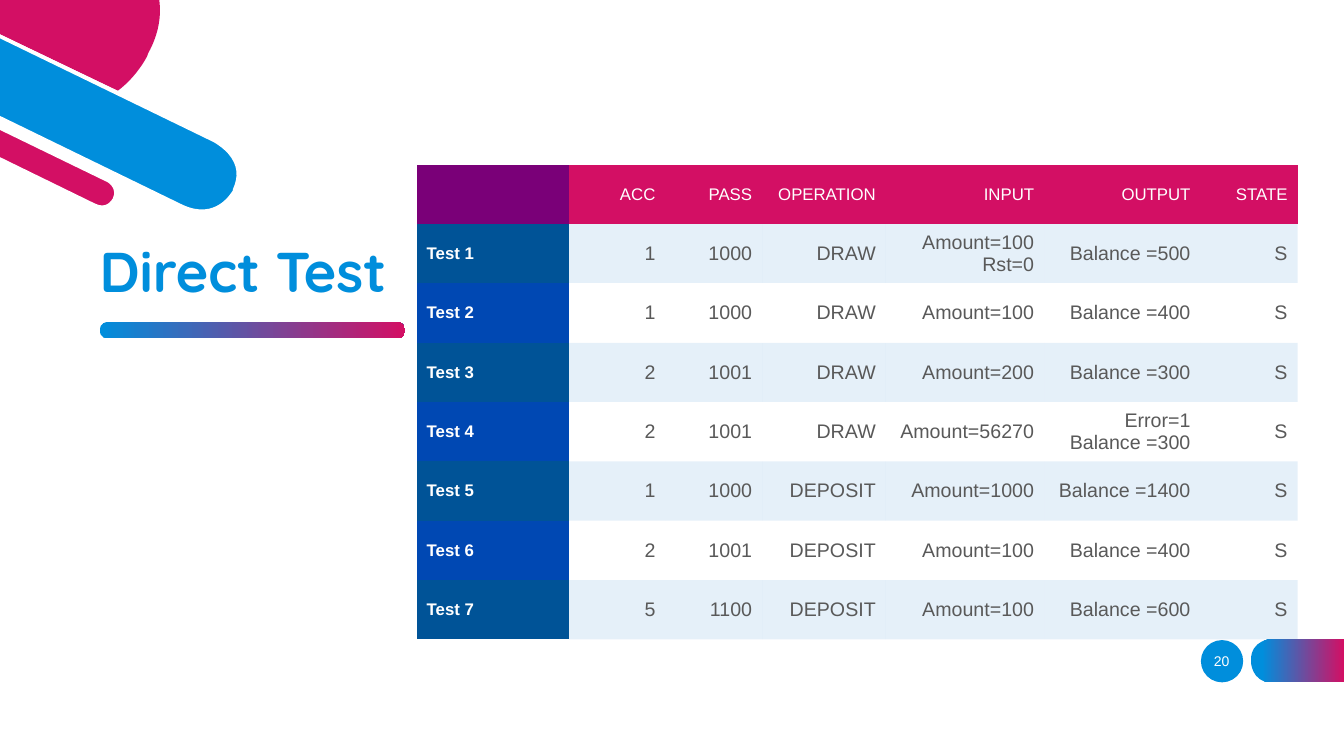
import dataclasses

import lxml.etree
import pptx
import pptx.dml.color
import pptx.enum.shapes
import pptx.enum.text
import pptx.oxml.ns
import pptx.util

Pt = pptx.util.Pt
qn = pptx.oxml.ns.qn
ALIGN = pptx.enum.text.PP_ALIGN
ANCHOR = pptx.enum.text.MSO_ANCHOR
SHAPE = pptx.enum.shapes.MSO_SHAPE


@dataclasses.dataclass(frozen=True)
class Theme:
    """Colours, fonts and type sizes of the slide."""
    blue: str = "008EDC"
    crimson: str = "D30F64"
    white: str = "FFFFFF"
    purple: str = "7A0078"
    label_fills: tuple = ("005397", "0048B3")
    tint: str = "006FC9"
    tint_alpha: int = 10
    grey: str = "595959"
    title_font: str = "Quicksand"
    body_font: str = "Arial"
    title_size: int = 40
    value_size: int = 14
    label_size: int = 12
    number_size: int = 10


THEME = Theme()
NO_GRID_STYLE = "{2D5ABB26-0587-4C30-8999-92F81FD0307C}"
COLUMN_WIDTHS = (108.7, 69.1, 69.1, 88.4, 113.1, 111.7, 69.3)
HEADINGS = ("", "ACC", "PASS", "OPERATION", "INPUT", "OUTPUT", "STATE")
TESTS = (
    ("1", "1000", "DRAW", "Amount=100\nRst=0", "Balance =500", "S"),
    ("1", "1000", "DRAW", "Amount=100", "Balance =400", "S"),
    ("2", "1001", "DRAW", "Amount=200", "Balance =300", "S"),
    ("2", "1001", "DRAW", "Amount=56270", "Error=1\nBalance =300", "S"),
    ("1", "1000", "DEPOSIT", "Amount=1000", "Balance =1400", "S"),
    ("2", "1001", "DEPOSIT", "Amount=100", "Balance =400", "S"),
    ("5", "1100", "DEPOSIT", "Amount=100", "Balance =600", "S"),
)

DISC_RIM = (
    (0.7, 58.3), (20.2, 67.7), (43.2, 79.2, 64.1, 77.8, 82.8, 64.1),
    (96.5, 53.3, 103.7, 39.6, 103.7, 39.6), (105.1, 37.4),
    (111.6, 24.5, 113.8, 11.5, 112.3, 0), (115.2, 0),
    (116.6, 12.2, 114.5, 25.2, 107.3, 38.9), (106.6, 41),
    (105.8, 41.8, 98.6, 55.4, 84.2, 66.2), (76.3, 72.7, 64.8, 78.5, 49.7, 78.5),
    (40.3, 78.5, 30.2, 76.3, 18.7, 70.6), (0.7, 61.9))
BAND = (
    (152.6, 100.1), (152.6, 100.1, 179.3, 113, 167.8, 136.1), (167, 136.8),
    (167, 136.8, 155.5, 159.8, 129.6, 146.9), (0, 84.2), (0, 25.9))
DISC = (
    (105.1, 40.3), (105.1, 40.3, 97.9, 54.7, 84.2, 64.8), (0, 24.5), (0, 0),
    (113.8, 0), (115.2, 10.8, 113.8, 23.8, 105.8, 38.2))
STRIPE = (
    (0, 90.7), (76.3, 128.2), (76.3, 128.2, 86.4, 133.2, 82.1, 141.8),
    (82.1, 142.6), (82.1, 142.6, 77, 151.9, 67, 146.9), (0, 113.8))
STRIPE_RIM = (
    (67.7, 145.4), (76.3, 149.8, 79.9, 142.6, 80.6, 141.8),
    (84.2, 133.9, 76.3, 129.6, 75.6, 129.6), (0, 92.9), (0, 89.3), (77, 126.7),
    (77, 126.7, 82.8, 129.6, 84.2, 134.6), (85, 137.5, 85, 140.4, 83.5, 143.3),
    (82.1, 146.2, 78.5, 149.8, 72.7, 149.8), (71.3, 149.8, 69.1, 149.8, 67, 148.3),
    (0, 115.9), (0, 112.3))
BAND_RIM = (
    (130.3, 146.2), (154.8, 157.7, 165.6, 136.8, 166.3, 136.1), (166.3, 135.4),
    (170.6, 126, 169.9, 118.1, 163.4, 110.2), (159.1, 105.1, 152.6, 101.5, 152.6, 101.5),
    (0, 27.4), (0, 24.5), (154.1, 98.6), (154.1, 99.4, 167, 105.1, 170.6, 117.4),
    (172.8, 123.1, 172.1, 129.6, 169.2, 136.8), (168.5, 137.5),
    (168.5, 137.5, 160.6, 152.6, 144.7, 152.6),
    (139.7, 152.6, 134.6, 151.2, 128.9, 148.3), (0, 85.7), (0, 82.8))


def rgb(value):
    """Turn a hex string into a colour."""
    return pptx.dml.color.RGBColor.from_string(value)


def blend(fill, start=0):
    """Give a fill the blue to crimson gradient."""
    fill.gradient()
    fill.gradient_angle = 0
    for stop, colour, position in zip(
            fill.gradient_stops, (THEME.blue, THEME.crimson), (start, 1)):
        stop.color.rgb = rgb(colour)
        stop.position = position


def paint(shape, colour=None, start=0):
    """Fill a shape with a colour, or with the gradient if none is given."""
    shape.shadow.inherit = False
    shape.line.fill.background()
    if colour is None:
        blend(shape.fill, start)
    else:
        shape.fill.solid()
        shape.fill.fore_color.rgb = rgb(colour)


def add_outline(slide, left, top, outline):
    """Add a closed freeform of lines and Bezier curves relative to left and top."""
    points = [(Pt(left + segment[i]), Pt(top + segment[i + 1]))
              for segment in outline for i in range(0, len(segment), 2)]
    builder = slide.shapes.build_freeform(*points[0])
    builder.add_line_segments(points[1:], close=False)
    shape = builder.convert_to_shape()
    track = shape._element.find(".//" + qn("a:path"))
    lines = iter(track.findall(qn("a:lnTo")))
    for segment in outline[1:]:
        line = next(lines)
        if len(segment) == 6:
            line.addprevious(lxml.etree.Element(qn("a:cubicBezTo")))
            curve = line.getprevious()
            for part in (line, next(lines), next(lines)):
                curve.append(part[0])
                track.remove(part)
    lxml.etree.SubElement(track, qn("a:close"))
    return shape


def write(frame, text, align, colour, **font_format):
    """Write one paragraph per line with the given font attributes."""
    frame.text = text
    for paragraph in frame.paragraphs:
        paragraph.alignment = align
        for run in paragraph.runs:
            for name, value in font_format.items():
                setattr(run.font, name, value)
            if colour is None:
                blend(run.font.fill)
            else:
                run.font.color.rgb = rgb(colour)


def add_text(slide, box, text, anchor, align, colour, **font_format):
    """Add a wrapped text box."""
    frame = slide.shapes.add_textbox(*map(Pt, box)).text_frame
    for name, value in {"word_wrap": True, "vertical_anchor": anchor}.items():
        setattr(frame, name, value)
    write(frame, text, align, colour, **font_format)
    return frame


def add_corner(slide, left, top):
    """Draw the disc and the slanted bars in the corner."""
    for outline, colour in (
            (DISC_RIM, THEME.white), (BAND, THEME.blue), (DISC, THEME.crimson),
            (STRIPE, THEME.crimson), (STRIPE_RIM, THEME.white), (BAND_RIM, THEME.white)):
        paint(add_outline(slide, left, top, outline), colour)


def add_title(slide, left, top, width, height):
    """Place the title with its gradient underline."""
    underline = slide.shapes.add_shape(
        SHAPE.ROUNDED_RECTANGLE, Pt(left + 7.2), Pt(top + 62.4), Pt(218), Pt(11.5))
    underline.adjustments[0] = 0.45
    paint(underline)
    frame = add_text(slide, (left, top, width, height), "Direct Test", ANCHOR.BOTTOM,
                     ALIGN.LEFT, None, size=Pt(THEME.title_size), name=THEME.title_font,
                     bold=True)
    frame.paragraphs[0].line_spacing = 0.9


def fill_cell(cell, colour, alpha=100):
    """Fill a table cell, with opacity in percent."""
    cell.fill.solid()
    cell.fill.fore_color.rgb = rgb(colour)
    if alpha < 100:
        element = cell._tc.tcPr.find(".//" + qn("a:srgbClr"))
        lxml.etree.SubElement(element, qn("a:alpha"), val=str(alpha * 1000))


def add_tests(slide, left, top, width, height):
    """Place the table of tests."""
    rows = [HEADINGS] + [(f"Test {i}", *test) for i, test in enumerate(TESTS, 1)]
    frame = slide.shapes.add_table(len(rows), len(HEADINGS), *map(Pt, (left, top, width, height)))
    table = frame.table
    table._tbl.tblPr.find(qn("a:tableStyleId")).text = NO_GRID_STYLE
    for column, column_width in zip(table.columns, COLUMN_WIDTHS):
        column.width = Pt(column_width)
    for i, row in enumerate(rows):
        table.rows[i].height = Pt(height / len(rows))
        for j, text in enumerate(row):
            cell = table.cell(i, j)
            cell.vertical_anchor = ANCHOR.MIDDLE
            label = i == 0 or j == 0
            write(cell.text_frame, text, ALIGN.RIGHT if j else ALIGN.LEFT,
                  THEME.white if label else THEME.grey, name=THEME.body_font, bold=j == 0,
                  size=Pt(THEME.label_size if label else THEME.value_size))
            if i == 0:
                fill_cell(cell, THEME.crimson if j else THEME.purple)
            elif j == 0:
                fill_cell(cell, THEME.label_fills[(i - 1) % 2])
            elif i % 2:
                fill_cell(cell, THEME.tint, THEME.tint_alpha)
            else:
                fill_cell(cell, THEME.white)


def add_page_number(slide, left, top, width, height):
    """Draw the dot and the tab at the slide edge, with the number."""
    dot = slide.shapes.add_shape(SHAPE.OVAL, Pt(left), Pt(top + 0.7), Pt(30.2), Pt(30.2))
    paint(dot, THEME.blue)
    right, middle = width - 35.7, height / 2
    tab = add_outline(slide, left + 35.7, top, (
        (15.1, height), (right, height), (right, 0), (15.1, 0),
        (15.1, 0, 0, 0, 0, middle), (0, middle, 0, height, 15.1, height)))
    paint(tab, start=0.12)
    add_text(slide, (left - 6.7, top + 1.4, 43.2, 28.8), "20", ANCHOR.MIDDLE, ALIGN.CENTER,
             THEME.white, size=Pt(THEME.number_size), name=THEME.body_font)


def main():
    """Build and save the slide."""
    presentation = pptx.Presentation()
    presentation.slide_width, presentation.slide_height = Pt(960), Pt(540)
    slide = presentation.slides.add_slide(presentation.slide_layouts[6])
    add_corner(slide, 0, 0)
    add_title(slide, 64.1, 167.8, 267.8, 53.3)
    add_tests(slide, 297.6, 117.7, sum(COLUMN_WIDTHS), 339.1)
    add_page_number(slide, 857.8, 456.5, 102.2, 31)
    presentation.save("out.pptx")


if __name__ == "__main__":
    main()
